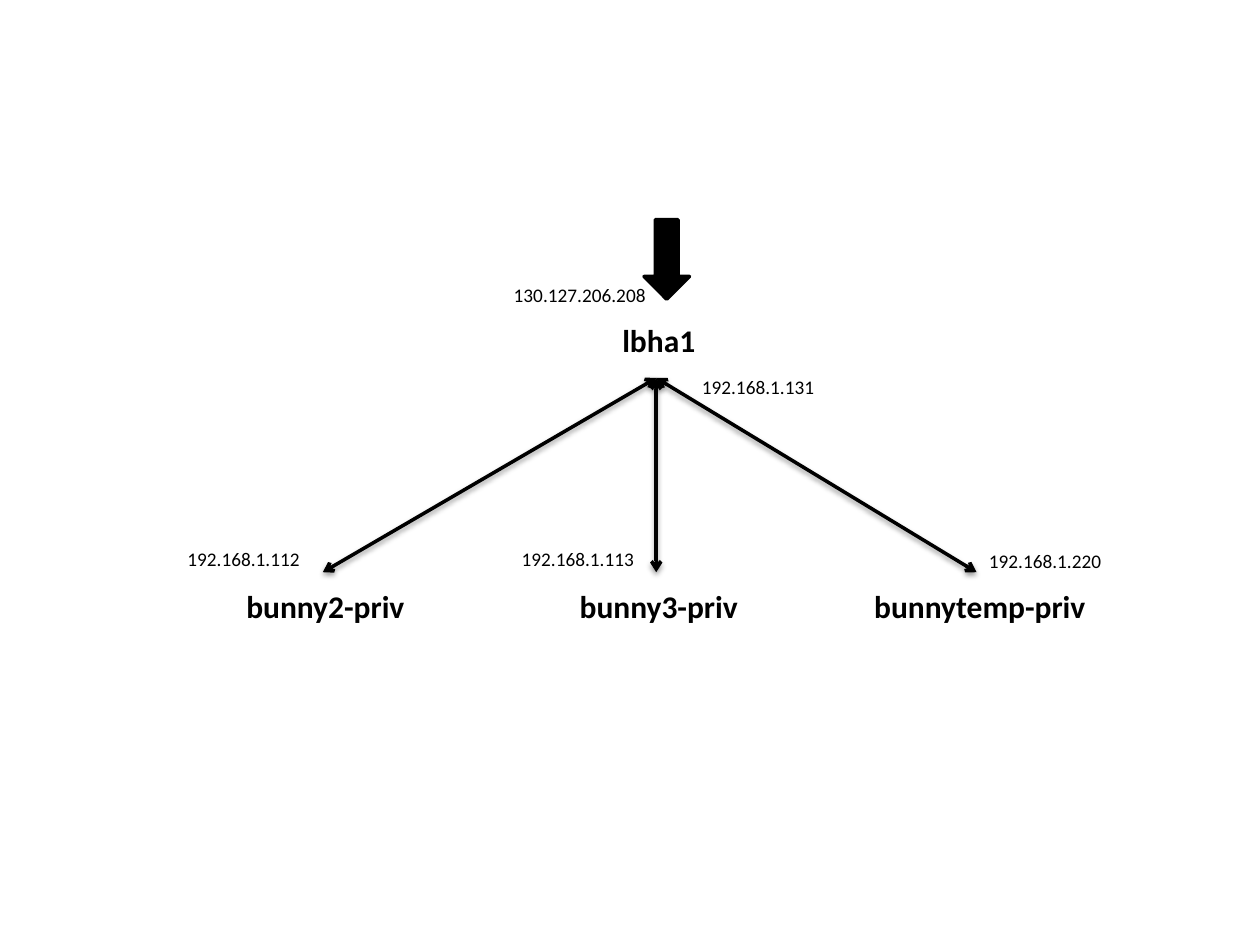
from dataclasses import dataclass

from lxml import etree
from pptx import Presentation
from pptx.dml.color import RGBColor
from pptx.enum import shapes, text
from pptx.oxml import ns
from pptx.util import Pt


@dataclass(frozen=True)
class Theme:
    ink: RGBColor = RGBColor(0, 0, 0)
    font: str = "Calibri"
    name_size: int = 18
    address_size: int = 11
    line_width: int = 2


THEME = Theme()
BALANCER = ("lbha1", 296.5, 180)
HOSTS = [
    ("bunny2-priv", 106, 184.5),
    ("bunny3-priv", 296.5, 375),
    ("bunnytemp-priv", 480, 558),
]
HOST_TOP = 332
HUB = (375, 216)
LINK_BOTTOM = 327
ADDRESSES = [
    ("130.127.206.208", 286.5, 158.5),
    ("192.168.1.131", 394, 211),
    ("192.168.1.220", 558, 310.5),
    ("192.168.1.113", 291, 309),
    ("192.168.1.112", 100, 309),
]


def add_label(slide, wording, left, top, width, height, size, bold, align):
    label = slide.shapes.add_textbox(Pt(left), Pt(top), Pt(width), Pt(height))
    frame = label.text_frame
    frame.word_wrap = True
    frame.auto_size = text.MSO_AUTO_SIZE.SHAPE_TO_FIT_TEXT
    paragraph = frame.paragraphs[0]
    paragraph.text = wording
    paragraph.alignment = align
    paragraph.font.name = THEME.font
    paragraph.font.size = Pt(size)
    paragraph.font.bold = bold
    paragraph.font.color.rgb = THEME.ink


def add_name(slide, wording, left, top):
    add_label(slide, wording, left, top, 160, 29,
              THEME.name_size, True, text.PP_ALIGN.CENTER)


def add_address(slide, wording, left, top):
    add_label(slide, wording, left, top, 91.5, 20.5,
              THEME.address_size, False, text.PP_ALIGN.LEFT)


def style_line(line):
    line.color.rgb = THEME.ink
    line.width = Pt(THEME.line_width)


def add_incoming_arrow(slide):
    arrow = slide.shapes.add_shape(
        shapes.MSO_SHAPE.DOWN_ARROW, Pt(368), Pt(125.5), Pt(26), Pt(45.5))
    arrow.shadow.inherit = False
    arrow.fill.solid()
    arrow.fill.fore_color.rgb = THEME.ink
    style_line(arrow.line)


def add_shadow(properties):
    effects = etree.SubElement(properties, ns.qn("a:effectLst"))
    shadow = etree.SubElement(
        effects, ns.qn("a:outerShdw"), blurRad=str(Pt(3.1)),
        dist=str(Pt(1.6)), dir="5400000", rotWithShape="0")
    color = etree.SubElement(shadow, ns.qn("a:srgbClr"), val=str(THEME.ink))
    etree.SubElement(color, ns.qn("a:alpha"), val="38000")


def add_link(slide, host_x):
    link = slide.shapes.add_connector(
        shapes.MSO_CONNECTOR.STRAIGHT,
        Pt(HUB[0]), Pt(HUB[1]), Pt(host_x), Pt(LINK_BOTTOM))
    style_line(link.line)
    outline = link.line._get_or_add_ln()
    for end in ("a:headEnd", "a:tailEnd"):
        etree.SubElement(outline, ns.qn(end), type="arrow")
    add_shadow(link._element.spPr)


def main():
    deck = Presentation()
    deck.slide_width, deck.slide_height = Pt(720), Pt(540)
    slide = deck.slides.add_slide(deck.slide_layouts[6])
    for host, left, _ in HOSTS:
        add_name(slide, host, left, HOST_TOP)
    add_name(slide, *BALANCER)
    add_incoming_arrow(slide)
    for _, _, link_x in HOSTS:
        add_link(slide, link_x)
    for address in ADDRESSES:
        add_address(slide, *address)
    deck.save("out.pptx")


if __name__ == "__main__":
    main()
